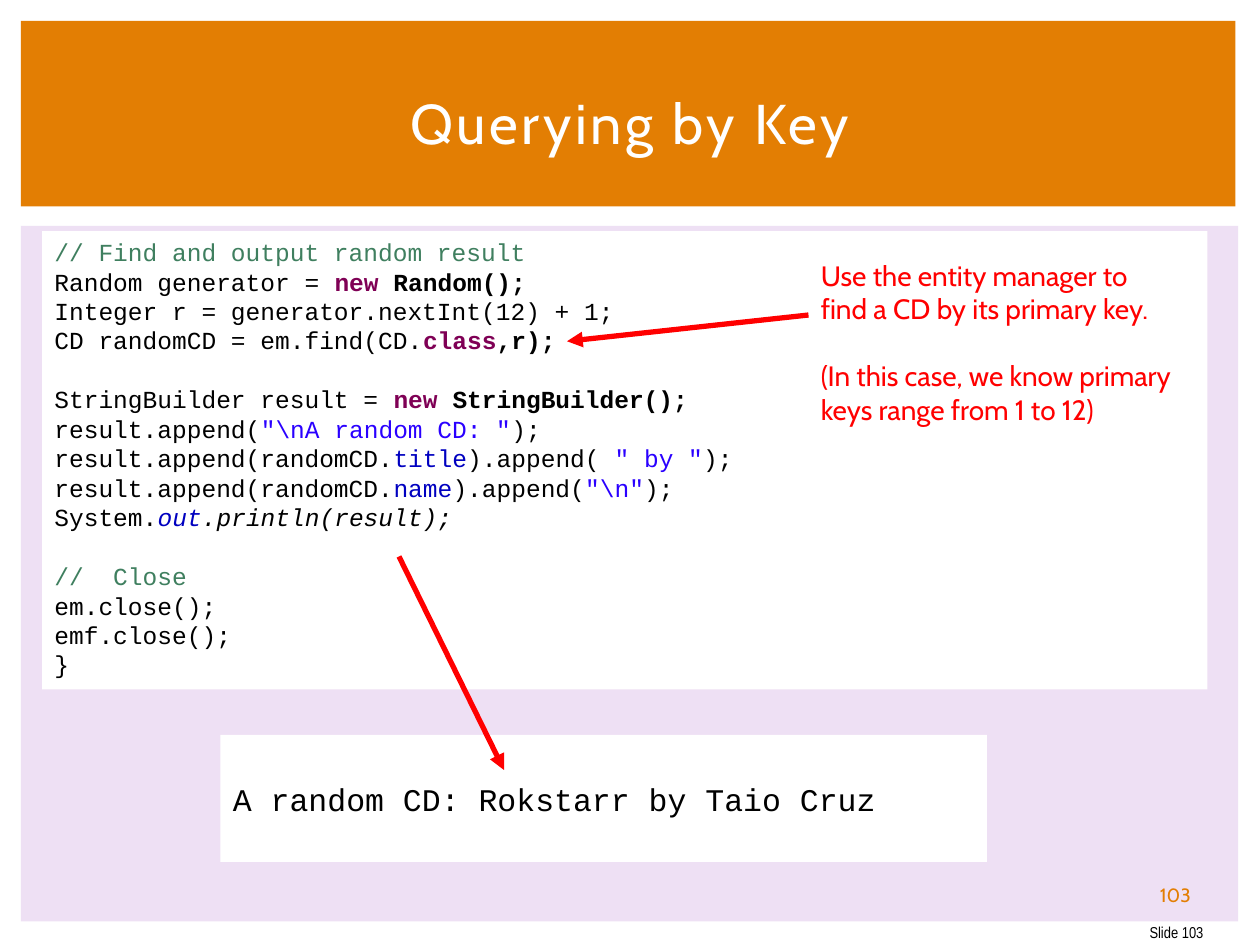
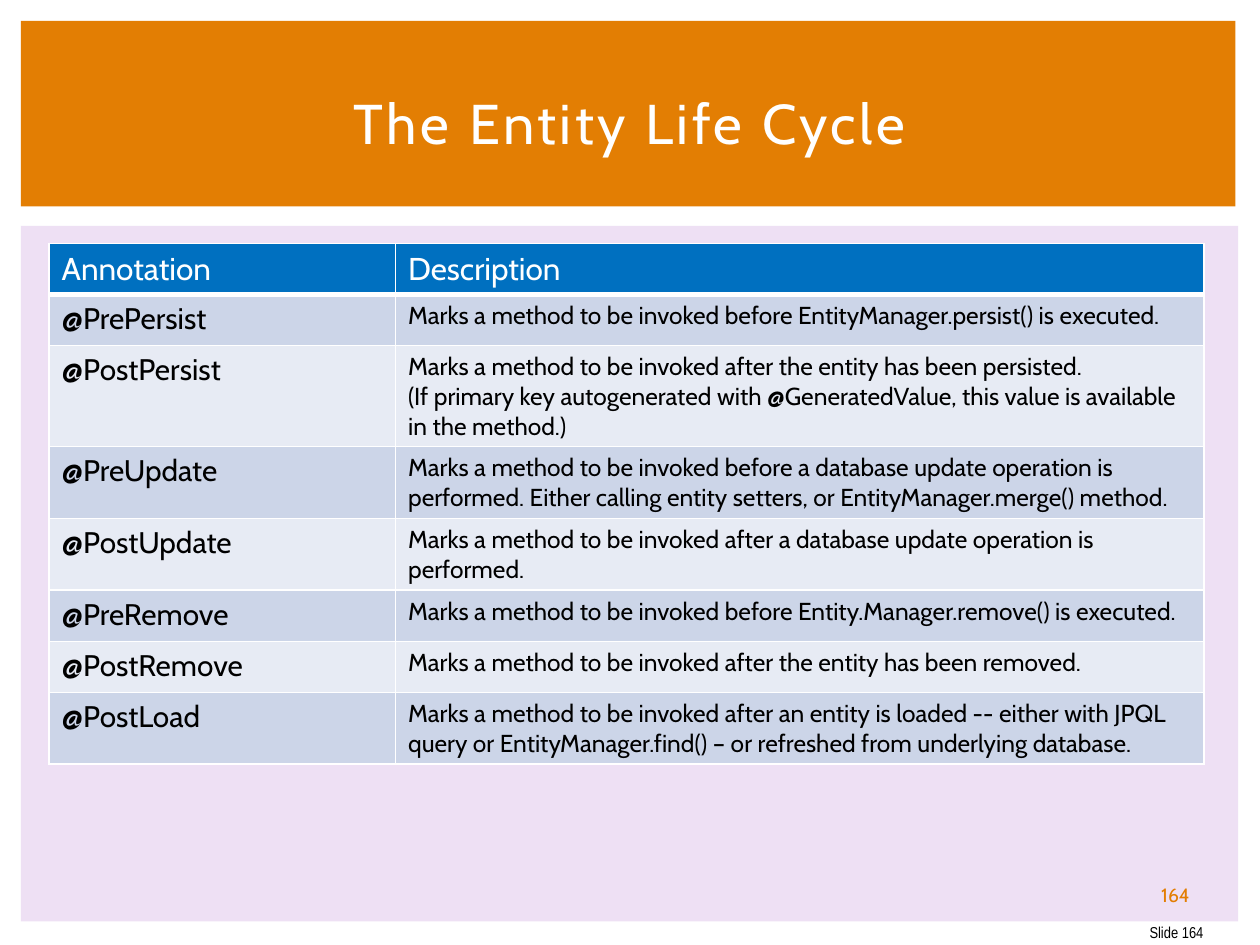
from dataclasses import dataclass

from lxml import etree
from pptx import Presentation
from pptx.dml.color import RGBColor
from pptx.enum import shapes, text
from pptx.oxml.ns import qn
from pptx.util import Pt


@dataclass(frozen=True)
class Theme:
    # Colours
    band: str = "E37E03"
    panel: str = "EEE0F4"
    white: str = "FFFFFF"
    black: str = "000000"
    red: str = "FF0000"
    head: str = "0070C0"
    odd: str = "CCD5E8"
    even: str = "E7EBF4"
    # Code colours
    key: str = "7F0055"
    rem: str = "3F7F5F"
    quote: str = "2A00FF"
    field: str = "0000C0"
    # Fonts
    body: str = "Cabin"
    mono: str = "Courier New"
    foot: str = "Arial Narrow"
    # Type sizes
    title: int = 32
    large: int = 18
    term: int = 17
    note: int = 16
    small: int = 14
    page: int = 11
    tiny: int = 9


T = Theme()
MID, TOP = text.MSO_ANCHOR.MIDDLE, text.MSO_ANCHOR.TOP
LEFT, RIGHT, CENTER = text.PP_ALIGN.LEFT, text.PP_ALIGN.RIGHT, text.PP_ALIGN.CENTER

# Code styles: colour, bold, italic
STYLES = {
    "plain": (T.black, False, False),
    "strong": (T.black, True, False),
    "slant": (T.black, False, True),
    "key": (T.key, True, False),
    "rem": (T.rem, False, False),
    "str": (T.quote, False, False),
    "field": (T.field, False, False),
    "static": (T.field, False, True),
}

# Each line is a list of (style, text); an empty line is a gap
CODE = [
    [("rem", "// Find and output random result")],
    [("plain", "Random generator = "), ("key", "new"), ("strong", " Random();")],
    [("plain", "Integer r = generator.nextInt(12) + 1;")],
    [("plain", "CD randomCD = em.find(CD."), ("key", "class"), ("strong", ",r);")],
    [],
    [("plain", "StringBuilder result = "), ("key", "new "), ("strong", "StringBuilder();")],
    [("plain", "result.append("), ("str", '"\\nA random CD: "'), ("plain", ");")],
    [("plain", "result.append(randomCD."), ("field", "title"),
     ("plain", ").append( "), ("str", '" by "'), ("plain", ");")],
    [("plain", "result.append(randomCD."), ("field", "name"),
     ("plain", ").append("), ("str", '"\\n"'), ("plain", ");")],
    [("plain", "System."), ("static", "out"), ("slant", ".println(result);")],
    [],
    [("rem", "//  Close")],
    [("plain", "em.close();")],
    [("plain", "emf.close();")],
    [("plain", "}")],
]

NOTE = [
    "Use the entity manager to",
    "find a CD by its primary key.",
    "",
    "(In this case, we know primary keys range from 1 to 12)",
]

# Term, line count, paragraphs
EVENTS = [
    ("@PrePersist", 1,
     ["Marks a method to be invoked before EntityManager.persist() is executed."]),
    ("@PostPersist", 3,
     ["Marks a method to be invoked after the entity has been persisted.",
      "(If primary key autogenerated with @GeneratedValue, this value is available "
      "in the method.)"]),
    ("@PreUpdate", 2,
     ["Marks a method to be invoked before a database update operation is performed. "
      "Either calling entity setters, or EntityManager.merge() method."]),
    ("@PostUpdate", 2,
     ["Marks a method to be invoked after a database update operation is performed."]),
    ("@PreRemove", 1,
     ["Marks a method to be invoked before Entity.Manager.remove() is executed."]),
    ("@PostRemove", 1,
     ["Marks a method to be invoked after the entity has been removed."]),
    ("@PostLoad", 2,
     ["Marks a method to be invoked after an entity is loaded -- either with JPQL query "
      "or EntityManager.find() – or refreshed from underlying database."]),
]


def paint(fill, hue):
    fill.solid()
    fill.fore_color.rgb = RGBColor.from_string(hue)


def add_run(para, words, size, face, hue, bold=False, slant=False, track=0):
    run = para.add_run()
    run.text = words
    font = run.font
    font.size, font.name, font.bold, font.italic = Pt(size), face, bold, slant
    font.color.rgb = RGBColor.from_string(hue)
    if track:
        run._r.get_or_add_rPr().set("spc", str(track * 100))


def write(frame, lines, size, face=T.body, hue=T.black, align=LEFT, gap=0, track=0):
    """Write lines of plain text or (style, text) runs; empty lines become space."""
    para = None
    skip = False
    for line in lines:
        if not line:
            skip = True
            continue
        para = frame.add_paragraph() if para is not None else frame.paragraphs[0]
        para.alignment = align
        if skip:
            para.space_before = Pt(gap)
            skip = False
        if isinstance(line, str):
            add_run(para, line, size, face, hue, track=track)
        else:
            for style, words in line:
                add_run(para, words, size, face, *STYLES[style])


def set_frame(shape, anchor):
    frame = shape.text_frame
    frame.word_wrap = True
    frame.vertical_anchor = anchor
    return frame


def add_box(slide, x, y, w, h, hue, anchor=TOP):
    box = slide.shapes.add_shape(
        shapes.MSO_SHAPE.RECTANGLE, Pt(x), Pt(y), Pt(w), Pt(h))
    box.shadow.inherit = False
    paint(box.fill, hue)
    box.line.fill.background()
    return set_frame(box, anchor)


def add_text(slide, x, y, w, h, anchor=MID):
    return set_frame(slide.shapes.add_textbox(Pt(x), Pt(y), Pt(w), Pt(h)), anchor)


def add_arrow(slide, start, end):
    line = slide.shapes.add_connector(
        shapes.MSO_CONNECTOR.STRAIGHT, *(Pt(v) for v in start + end))
    line.line.width = Pt(3)
    line.line.color.rgb = RGBColor.from_string(T.red)
    etree.SubElement(line.line._get_or_add_ln(), qn("a:tailEnd"), type="triangle")
    etree.SubElement(line._element.spPr, qn("a:effectLst"))


def add_cell(cell, lines, size, hue, fill, base=1):
    # Borders come before the fill in the cell properties
    props = cell._tc.get_or_add_tcPr()
    for side, width in (("L", 1), ("R", 1), ("T", 1), ("B", base)):
        edge = etree.SubElement(props, qn("a:ln" + side), w=str(Pt(width)))
        solid = etree.SubElement(edge, qn("a:solidFill"))
        etree.SubElement(solid, qn("a:srgbClr"), val=T.white)
    paint(cell.fill, fill)
    write(cell.text_frame, lines, size, hue=hue)


def add_grid(slide, x, y, widths):
    row, pad, step = 29.2, 7.2, 16.9
    heights = [row] + [max(row, pad + step * count) for _, count, _ in EVENTS]
    grid = slide.shapes.add_table(
        len(heights), len(widths), Pt(x), Pt(y), Pt(sum(widths)), Pt(sum(heights))).table
    grid.horz_banding = False
    for col, width in zip(grid.columns, widths):
        col.width = Pt(width)
    for line, height in zip(grid.rows, heights):
        line.height = Pt(height)
    for c, label in enumerate(("Annotation", "Description")):
        add_cell(grid.cell(0, c), [label], T.large, T.white, T.head, base=3)
    for r, (term, _, lines) in enumerate(EVENTS, 1):
        fill = T.odd if r % 2 else T.even
        add_cell(grid.cell(r, 0), [term], T.term, T.black, fill)
        add_cell(grid.cell(r, 1), lines, T.small, T.black, fill)


def add_slide(deck, title, page):
    """Start a slide with the shared panel, title band and page numbers."""
    slide = deck.slides.add_slide(deck.slide_layouts[6])
    add_box(slide, 12, 129, 695.5, 397.5, T.panel)
    add_box(slide, 12, 12, 694, 106, T.band)
    write(add_text(slide, 648.7, 522, 46, 21.6), [f"Slide {page}"],
          T.tiny, T.foot, align=RIGHT)
    write(add_text(slide, 648.7, 500.4, 46, 21.6), [str(page)],
          T.page, hue=T.band, align=CENTER)
    write(add_text(slide, 30, 28, 660, 83), [title],
          T.title, hue=T.white, align=CENTER, track=2)
    return slide


def show_query(deck):
    slide = add_slide(deck, "Querying by Key", 103)
    # Code and its output
    write(add_box(slide, 24, 132, 666, 262, T.white), CODE, T.small, T.mono, gap=16.9)
    write(add_box(slide, 126, 420, 438, 72.5, T.white, MID),
          ["A random CD: Rokstarr by Taio Cruz"], T.large, T.mono)
    # Note and arrows
    write(add_text(slide, 462, 144, 222, 104.5, TOP), NOTE, T.note, hue=T.red, gap=19.2)
    add_arrow(slide, (462, 180), (324, 195))
    add_arrow(slide, (228, 318), (288, 440))


def show_cycle(deck):
    slide = add_slide(deck, "The Entity Life Cycle", 164)
    add_grid(slide, 28, 139, (198, 462))


def main():
    deck = Presentation()
    deck.slide_width, deck.slide_height = Pt(720), Pt(540)
    show_query(deck)
    show_cycle(deck)
    deck.save("out.pptx")


if __name__ == "__main__":
    main()
